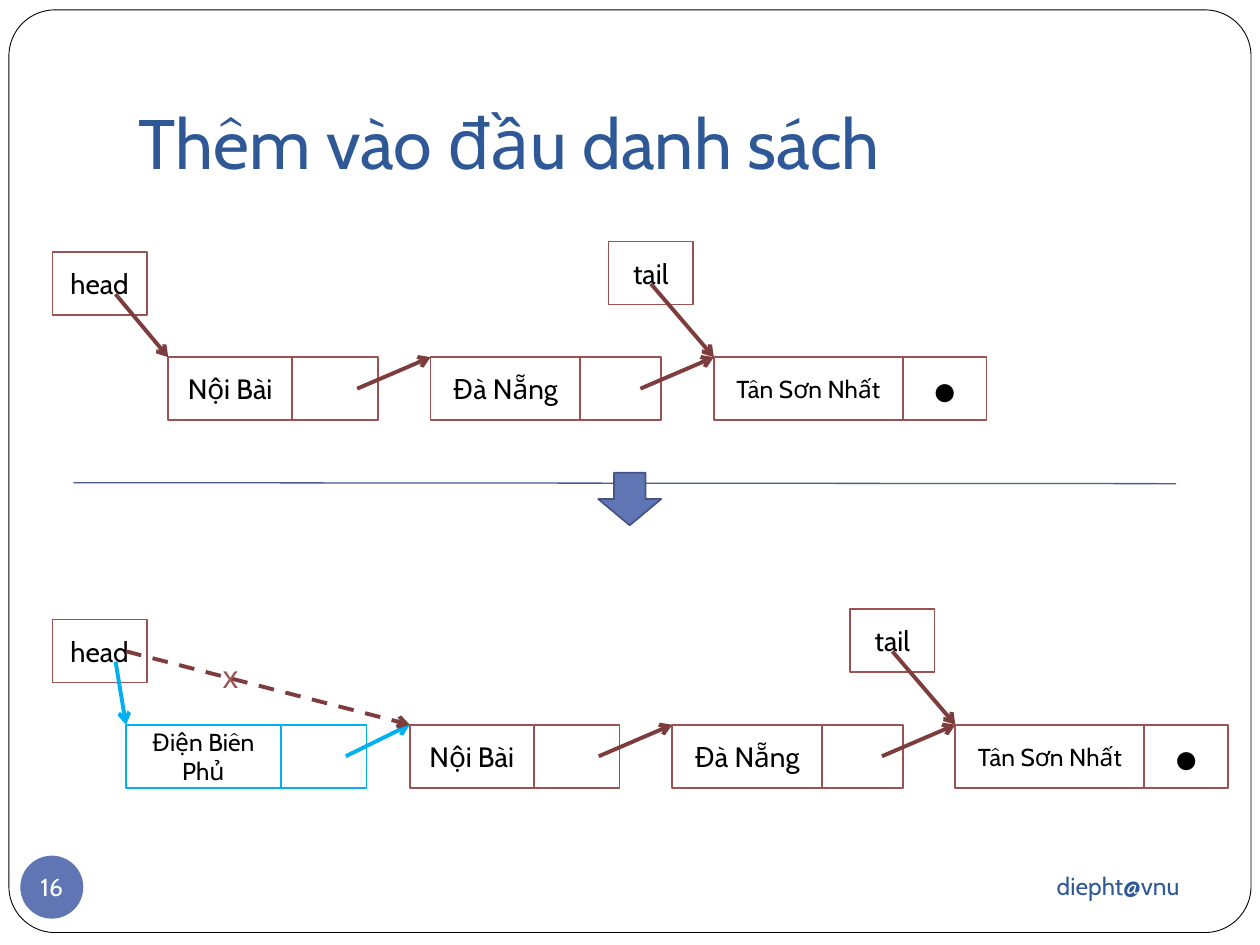
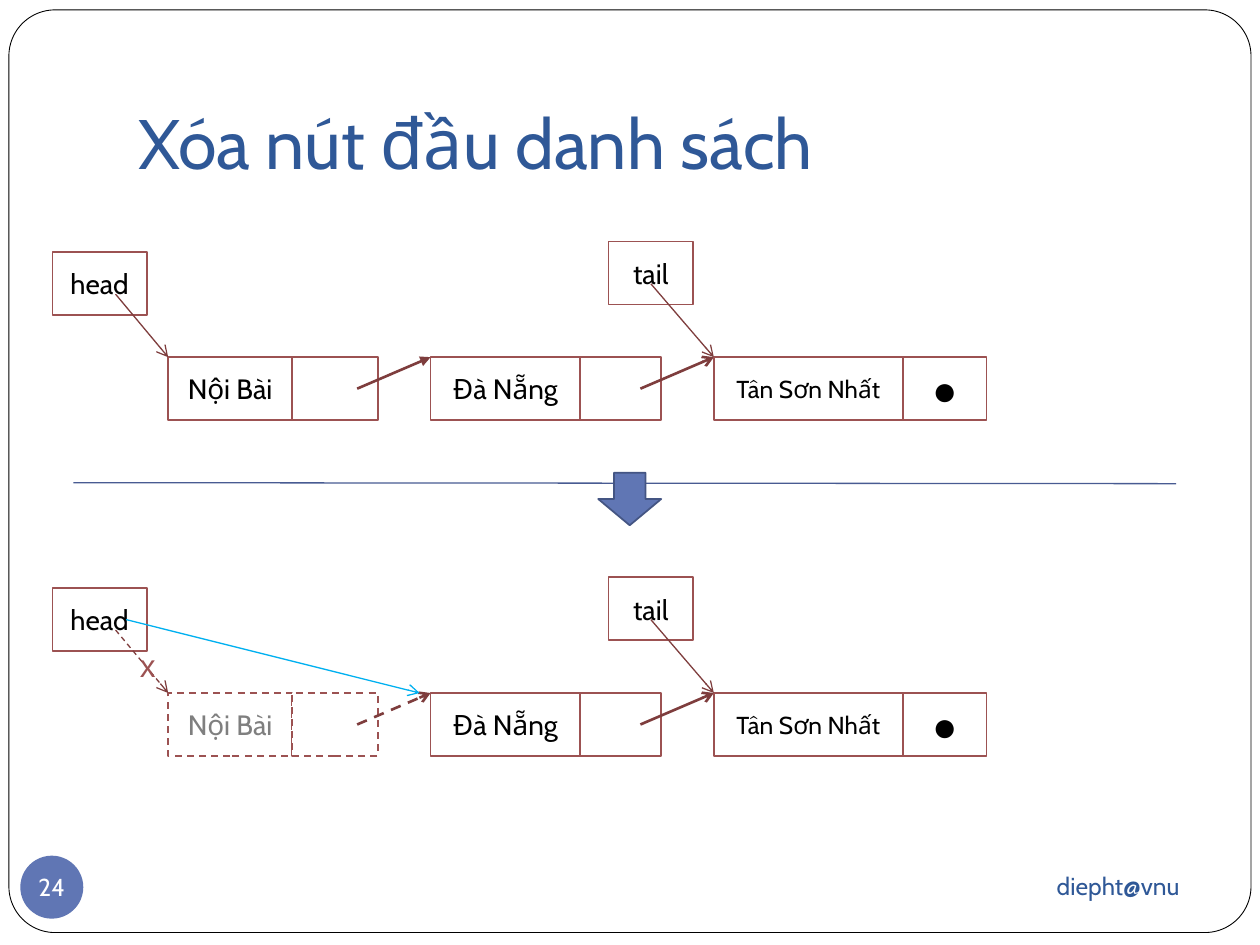
from lxml.etree import SubElement
from pptx import Presentation
from pptx.dml.color import RGBColor
from pptx.enum.dml import MSO_LINE
from pptx.enum.shapes import MSO_CONNECTOR, MSO_SHAPE
from pptx.enum.text import MSO_ANCHOR, MSO_AUTO_SIZE, PP_ALIGN
from pptx.oxml.ns import qn
from pptx.util import Cm, Pt

# Colours
WHITE, BLACK, GREY = "FFFFFF", "000000", "7F7F7F"
NAVY, BLUE, BLUE_EDGE, RULE = "2F5897", "6076B4", "445583", "485B92"
MAROON, ARROW, CYAN = "9C5252", "7E3D3D", "00B0F0"

# List geometry in cm
BOX_H = 1.27
GAP = 1.06
LINK_INSET = 0.42
START_X = 3.39
TOP_Y = 7.2

# Airports: name, width of the data cell, width of the link cell, text size
NOI_BAI = ("Nội Bài", 2.5, 1.73, 16)
DA_NANG = ("Đà Nẵng", 3.02, 1.63, 16)
TAN_SON_NHAT = ("Tân Sơn Nhất", 3.81, 1.69, 14)
DIEN_BIEN = ("Điện Biên Phủ", 3.12, 1.73, 14)
AIRPORTS = [NOI_BAI, DA_NANG, TAN_SON_NHAT]


def rgb(color):
    return RGBColor.from_string(color)


def set_all(obj, values):
    for name, value in values.items():
        setattr(obj, name, value)


class Deck:
    font = "Cabin"

    def __init__(self):
        self.prs = Presentation()
        set_all(self.prs, {"slide_width": Cm(25.4), "slide_height": Cm(19.05)})
        self.s = None

    # Basic elements
    def put_text(self, shape, text, size, color=BLACK, align=PP_ALIGN.CENTER,
                 anchor=MSO_ANCHOR.MIDDLE, font=None, **frame):
        tf = shape.text_frame
        set_all(tf, {"word_wrap": True, "vertical_anchor": anchor, **frame})
        p = tf.paragraphs[0]
        p.alignment = align
        r = p.add_run()
        r.text = text
        set_all(r.font, {"size": Pt(size), "name": font or self.font})
        r.font.color.rgb = rgb(color)

    def line_style(self, line, color, width, dashed=False):
        line.color.rgb = rgb(color)
        line.width = Pt(width)
        if dashed:
            line.dash_style = MSO_LINE.DASH

    def shape(self, x, y, w, h, kind=MSO_SHAPE.RECTANGLE, fill=WHITE,
              line=MAROON, width=1, dashed=False, parent=None):
        sp = (parent or self.s).shapes.add_shape(kind, Cm(x), Cm(y), Cm(w), Cm(h))
        sp.shadow.inherit = False
        sp.fill.solid()
        sp.fill.fore_color.rgb = rgb(fill)
        if line:
            self.line_style(sp.line, line, width, dashed)
        else:
            sp.line.fill.background()
        return sp

    def label(self, x, y, w, h, text, size, color, **style):
        box = self.s.shapes.add_textbox(Cm(x), Cm(y), Cm(w), Cm(h))
        self.put_text(box, text, size, color, **style)

    def connector(self, start, end, color=ARROW, width=2.25, dashed=False, head="arrow"):
        ends = [Cm(v) for v in (*start, *end)]
        c = self.s.shapes.add_connector(MSO_CONNECTOR.STRAIGHT, *ends)
        self.line_style(c.line, color, width, dashed)
        properties = c._element.spPr
        if head:
            SubElement(properties.find(qn("a:ln")), qn("a:tailEnd"), type=head)
        SubElement(properties, qn("a:effectLst"))

    # Parts every slide has
    def slide(self, title, number):
        self.s = self.prs.slides.add_slide(self.prs.slide_layouts[5])
        frame = self.shape(0.18, 0.2, 25.04, 18.6, MSO_SHAPE.ROUNDED_RECTANGLE,
                           line=BLACK, width=0.5)
        frame.adjustments[0] = 0.05
        self.s.shapes._spTree.insert(2, frame._element)

        sp = self.s.shapes.title
        set_all(sp, {"left": Cm(2.54), "top": Cm(0.76),
                     "width": Cm(21.59), "height": Cm(3.18)})
        self.put_text(sp, title, 40, NAVY, PP_ALIGN.LEFT, MSO_ANCHOR.BOTTOM,
                      margin_bottom=Cm(0.25), auto_size=MSO_AUTO_SIZE.NONE)

        # Divider between the states before and after
        self.connector((1.48, 9.73), (23.71, 9.75), RULE, 0.75, head=None)
        self.shape(12.06, 9.53, 1.27, 1.06, MSO_SHAPE.DOWN_ARROW, BLUE, BLUE_EDGE)

        # Footer
        self.label(17.15, 17.2, 6.88, 1.32, "diepht@vnu", 14, NAVY, align=PP_ALIGN.RIGHT)
        badge = self.shape(0.41, 17.25, 1.27, 1.27, MSO_SHAPE.OVAL, BLUE, None)
        margins = {f"margin_{side}": 0 for side in ("left", "top", "right", "bottom")}
        self.put_text(badge, str(number), 14, WHITE, word_wrap=False, **margins)

    # Linked list parts
    def node(self, x, y, airport, line=MAROON, color=BLACK, dashed=False, last=False):
        """Draw a data cell and a link cell; return the right edge."""
        name, data_w, link_w, size = airport
        group = self.s.shapes.add_group_shape()
        style = {"line": line, "dashed": dashed, "parent": group}
        data = self.shape(x, y, data_w, BOX_H, **style)
        self.put_text(data, name, size, color)
        link = self.shape(x + data_w, y, link_w, BOX_H, **style)
        if last:
            self.put_text(link, "●", 24, font="Arial")
        return x + data_w + link_w

    def link(self, right, y, next_x, **style):
        self.connector((right - LINK_INSET, y + BOX_H / 2), (next_x, y), **style)

    def chain(self, x, y, first_node=None, links=({}, {})):
        """Draw the three airports; return the left edge of the last."""
        for i, airport in enumerate(AIRPORTS):
            last = i == len(AIRPORTS) - 1
            style = (first_node or {}) if i == 0 else {}
            right = self.node(x, y, airport, last=last, **style)
            if not last:
                self.link(right, y, right + GAP, **links[i])
                x = right + GAP
        return x

    def pointer(self, text, x, y, w, start_dx, target, **style):
        self.put_text(self.shape(x, y, w, BOX_H), text, 16)
        self.connector((x + start_dx, y + 0.85), target, **style)

    def head(self, y, target_x, **style):
        self.pointer("head", 1.06, y - 2.12, 1.9, 1.27, (target_x, y), **style)

    def tail(self, y, target_x, **style):
        self.pointer("tail", target_x - 2.12, y - 2.33, 1.7, 0.85, (target_x, y), **style)

    def head_bypass(self, y, target_x, **style):
        self.connector((2.54, y - 1.48), (target_x, y), **style)

    def cross(self, x, y):
        self.label(x, y, 0.81, 1.02, "x", 18, MAROON, font="Arial", align=PP_ALIGN.LEFT,
                   anchor=MSO_ANCHOR.TOP, word_wrap=False,
                   auto_size=MSO_AUTO_SIZE.SHAPE_TO_FIT_TEXT)


def insert_at_head(d):
    d.slide("Thêm vào đầu danh sách", 16)

    # Before
    last_x = d.chain(START_X, TOP_Y)
    d.head(TOP_Y, START_X)
    d.tail(TOP_Y, last_x)

    # After: the new node comes first
    y, new_x, old_x = 14.61, 2.54, 8.26
    last_x = d.chain(old_x, y)
    d.head(y, new_x, color=CYAN)
    d.tail(y, last_x)
    right = d.node(new_x, y, DIEN_BIEN, line=CYAN)
    d.link(right, y, old_x, color=CYAN)
    d.head_bypass(y, old_x, dashed=True)
    d.cross(4.24, 13.13)


def delete_at_head(d):
    d.slide("Xóa nút đầu danh sách", 24)
    thin, medium = {"width": 0.75}, {"width": 1.5}

    # Before
    last_x = d.chain(START_X, TOP_Y, links=({**medium, "head": "triangle"}, medium))
    d.head(TOP_Y, START_X, **thin)
    d.tail(TOP_Y, last_x, **thin)

    # After: the head skips the removed node
    y = 13.97
    last_x = d.chain(START_X, y, first_node={"color": GREY, "dashed": True},
                     links=({**medium, "dashed": True}, medium))
    d.head(y, START_X, dashed=True, **thin)
    d.tail(y, last_x, **thin)
    d.head_bypass(y, 8.46, color=CYAN, **thin)
    d.cross(2.57, 12.9)


def main():
    d = Deck()
    insert_at_head(d)
    delete_at_head(d)
    d.prs.save("out.pptx")


if __name__ == "__main__":
    main()
